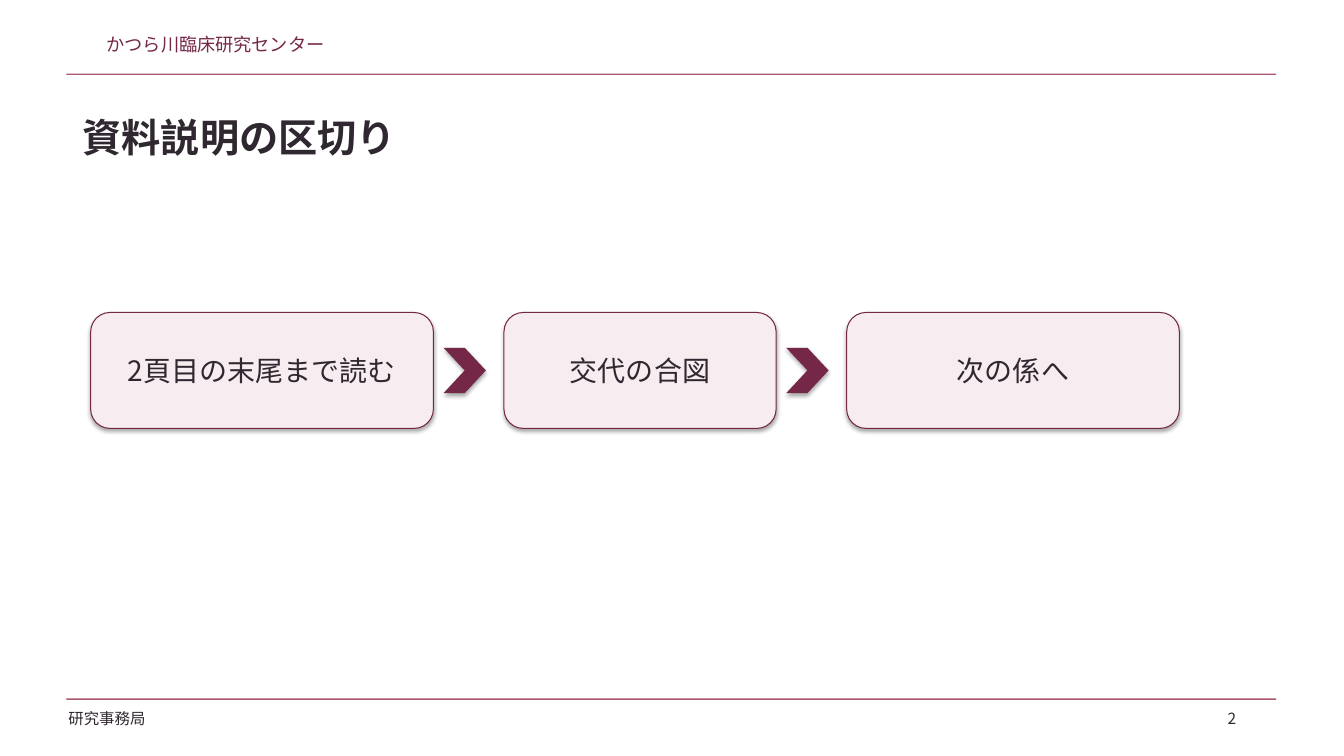
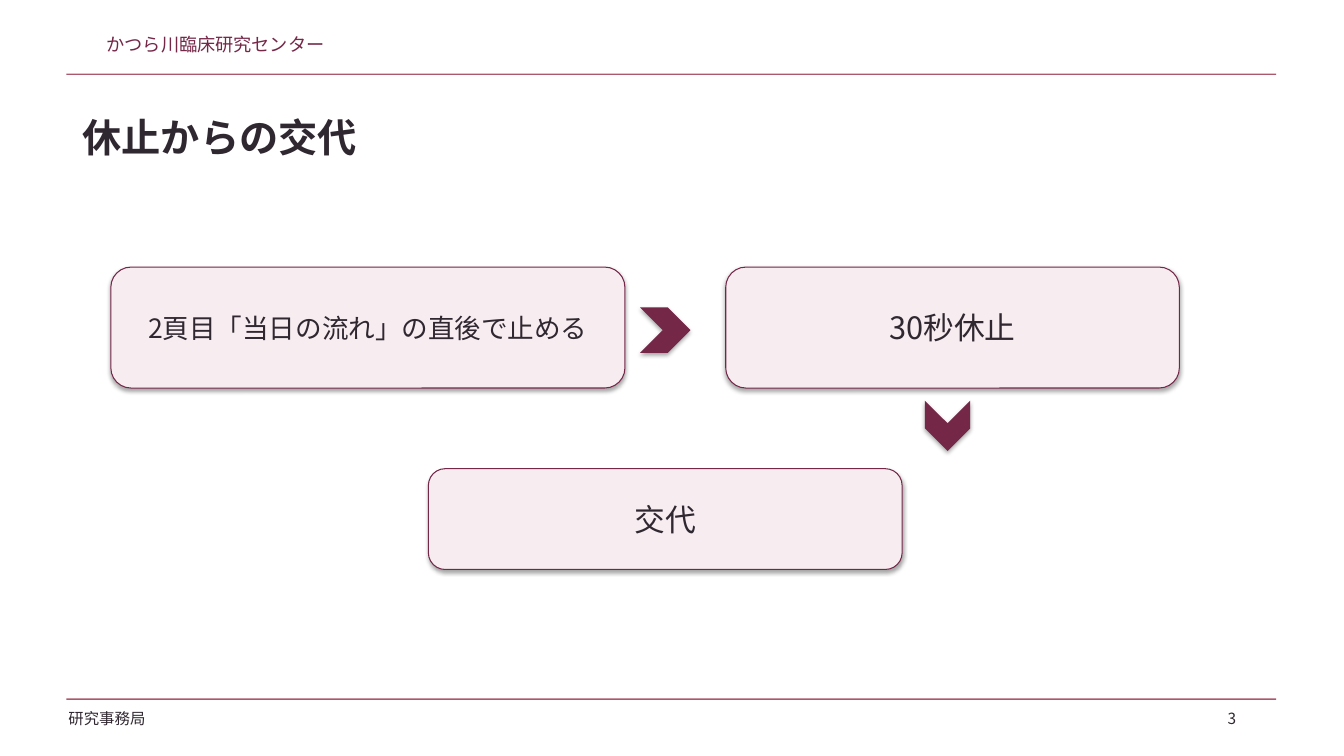
from lxml.etree import SubElement
from pptx import Presentation
from pptx.dml.color import RGBColor
from pptx.enum.shapes import MSO_SHAPE as Shape
from pptx.enum.text import MSO_ANCHOR as Anchor, PP_ALIGN as Align
from pptx.oxml.ns import qn
from pptx.util import Inches, Pt

WINE = RGBColor(0x74, 0x27, 0x47)
ROSE = RGBColor(0xAB, 0x58, 0x6C)
BLUSH = RGBColor(0xF7, 0xED, 0xF1)
INK = RGBColor(0x30, 0x28, 0x30)
FONT = "Noto Sans CJK JP"
CELLS_PER_INCH = 10
TITLE_ONLY = 5


def cells(*values):
    """Convert lengths in grid cells to slide units."""
    return [Inches(v / CELLS_PER_INCH) for v in values]


def write(sp, text, size, color=INK, bold=False, align=Align.LEFT, anchor=Anchor.TOP):
    """Put one formatted line of text into a shape."""
    tf = sp.text_frame
    tf.word_wrap = True
    tf.vertical_anchor = anchor
    tf.text = text
    p = tf.paragraphs[0]
    p.alignment = align
    font = p.runs[0].font
    font.name, font.size, font.bold = FONT, Pt(size), bold
    font.color.rgb = color
    for r_pr in sp.element.iter(qn("a:rPr")):
        SubElement(r_pr, qn("a:ea")).set("typeface", FONT)


def add_label(slide, box, text, size, color=INK):
    """Add a text box on the grid."""
    sp = slide.shapes.add_textbox(*cells(*box))
    write(sp, text, size, color)


def add_figure(slide, kind, box, fill, line=None, shadow=False):
    """Add a filled preset shape on the grid."""
    sp = slide.shapes.add_shape(kind, *cells(*box))
    if not shadow:
        sp.shadow.inherit = False
    sp.fill.solid()
    sp.fill.fore_color.rgb = fill
    if line is None:
        sp.line.fill.background()
    else:
        sp.line.color.rgb = line
        sp.line.width = Pt(0.75)
    return sp


def add_card(slide, box, text, size):
    """Add a rounded card with centred text."""
    sp = add_figure(slide, Shape.ROUNDED_RECTANGLE, box, BLUSH, WINE, shadow=True)
    write(sp, text, size, align=Align.CENTER, anchor=Anchor.MIDDLE)


def add_chevron(slide, box, rotation=0):
    """Add a chevron that leads to the next card."""
    sp = add_figure(slide, Shape.CHEVRON, box, WINE, shadow=True)
    sp.rotation = rotation


def add_card_row(slide, box, cards, gap, chevron):
    """Lay out cards from left to right, with a chevron in each gap."""
    left, top, _, height = box
    inset, drop, width, chevron_height = chevron
    chevrons = []
    for text, columns, size in cards:
        add_card(slide, (left, top, columns, height), text, size)
        left += columns + gap
        chevrons.append((left - gap + inset, top + drop, width, chevron_height))
    for chevron_box in chevrons[:-1]:
        add_chevron(slide, chevron_box)


def brand_layout(slide):
    """Draw the header and footer bands and move them into the layout."""
    before = len(slide.shapes)
    add_label(slide, (9.6, 2.8, 33, 3.5), "かつら川臨床研究センター", 13, WINE)
    for top in (7.3, 69.3):
        add_figure(slide, Shape.RECTANGLE, (6.6, top, 120, 0.14), ROSE)
    add_label(slide, (5.8, 69.9, 18, 3.6), "研究事務局", 11)
    for sp in list(slide.shapes)[before:]:
        slide.slide_layout.shapes.element.append(sp.element)


def start_slide(prs, title, number):
    """Add a slide with its title and page number."""
    slide = prs.slides.add_slide(prs.slide_layouts[TITLE_ONLY])
    sp = slide.shapes.title
    sp.left, sp.top, sp.width, sp.height = cells(7.2, 10.2, 119, 8.1)
    tf = sp.text_frame
    tf.margin_left = tf.margin_right = tf.margin_top = tf.margin_bottom = Inches(0.1)
    write(sp, title, 28, bold=True)
    add_label(slide, (120.8, 69.9, 6.5, 3), str(number), 11)
    return slide


def fill_break_slide(slide, box):
    """Show the three steps that close the briefing."""
    cards = [("2頁目の末尾まで読む", 34, 20), ("交代の合図", 27, 20), ("次の係へ", 33, 20)]
    add_card_row(slide, box, cards, gap=7, chevron=(1, 3.5, 4.2, 4.5))


def fill_pause_slide(slide, box):
    """Show the pause as a row of two cards and a card below."""
    left, top, width, _ = box
    cards = [("2頁目「当日の流れ」の直後で止める", 51, 19), ("30秒休止", 45, 22)]
    add_card_row(slide, (left, top, width, 12), cards, gap=10, chevron=(1.5, 4, 5, 4.5))
    add_card(slide, (left + 31.5, top + 20, 47, 10), "交代", 22)
    add_chevron(slide, (left + 80.5, top + 13.5, 5, 4.5), rotation=90)


def main():
    """Build the presentation."""
    prs = Presentation()
    prs.slide_width, prs.slide_height = cells(133.33, 75)
    slide = start_slide(prs, "資料説明の区切り", 2)
    brand_layout(slide)
    fill_break_slide(slide, (9, 31, 108, 11.5))
    slide = start_slide(prs, "休止からの交代", 3)
    fill_pause_slide(slide, (11, 26.5, 106, 30))
    prs.save("out.pptx")


if __name__ == "__main__":
    main()
